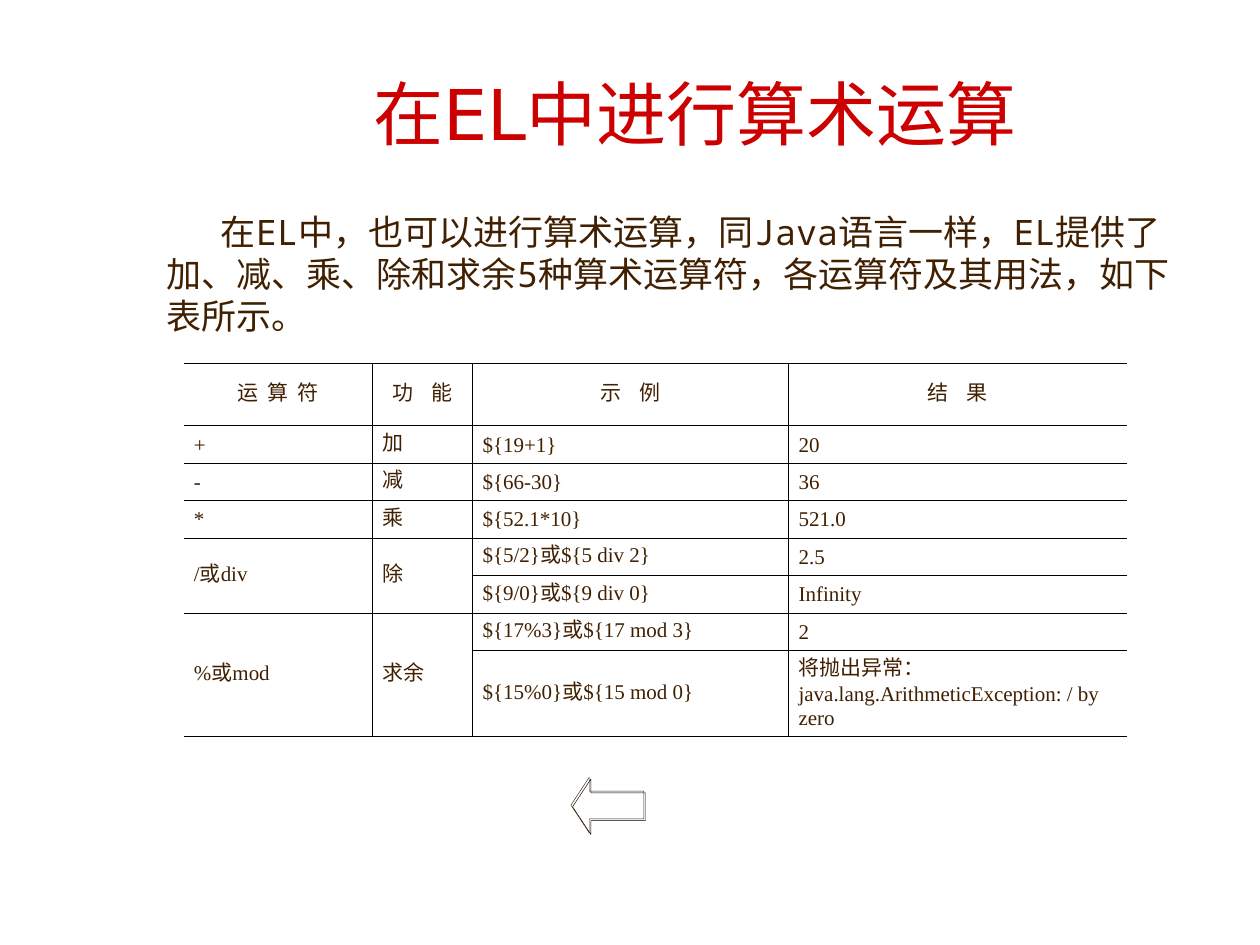
"""Build the slide on arithmetic operations in EL."""
from dataclasses import dataclass

from lxml import etree
from pptx import Presentation
from pptx import util as u
from pptx.dml.color import RGBColor
from pptx.enum import shapes, text
from pptx.oxml import parse_xml
from pptx.oxml.ns import nsdecls, qn


@dataclass(frozen=True)
class Theme:
    title_color: str = "CC0000"
    ink: str = "402000"
    rule: str = "000000"
    title_font: str = "DejaVu Sans"
    body_font: str = "Noto Sans Mono"
    head_font: str = "Arial"
    cell_font: str = "Times New Roman"
    title_size: int = 40
    body_size: int = 20
    cell_size: int = 12
    cell_leading: int = 14
    rule_width: float = 0.45
    outline_width: float = 0.25


class SlideBuilder:
    def __init__(self, slide, theme):
        self.s = slide
        self.theme = theme

    def format_runs(self, p, font, size, color):
        for r in p.runs:
            r.font.name = font
            r.font.size = u.Pt(size)
            r.font.color.rgb = RGBColor.from_string(color)

    def place(self, sp, box):
        sp.left, sp.top, sp.width, sp.height = map(u.Cm, box)

    def title(self, wording, box):
        t = self.theme
        sp = self.s.shapes.title
        self.place(sp, box)
        tf = sp.text_frame
        tf.text = wording
        tf.auto_size = text.MSO_AUTO_SIZE.NONE
        tf.vertical_anchor = text.MSO_ANCHOR.MIDDLE
        p = tf.paragraphs[0]
        p.alignment = text.PP_ALIGN.CENTER
        self.format_runs(p, t.title_font, t.title_size, t.title_color)

    def body(self, wording, box, indent):
        t = self.theme
        sp = self.s.placeholders[1]
        self.place(sp, box)
        tf = sp.text_frame
        tf.text = wording
        tf.auto_size = text.MSO_AUTO_SIZE.SHAPE_TO_FIT_TEXT
        p = tf.paragraphs[0]
        pPr = p._p.get_or_add_pPr()
        pPr.set("marL", "0")
        pPr.set("indent", str(u.Cm(indent)))
        etree.SubElement(pPr, qn("a:buNone"))
        p.space_before = u.Pt(0)
        self.format_runs(p, t.body_font, t.body_size, t.ink)

    def borders(self, cell, hidden_side):
        t = self.theme
        tcPr = cell._tc.get_or_add_tcPr()
        for side in "LRTB":
            if side == hidden_side:
                paint = "<a:noFill/>"
            else:
                paint = f'<a:solidFill><a:srgbClr val="{t.rule}"/></a:solidFill>'
            tcPr.append(parse_xml(
                f'<a:ln{side} {nsdecls("a")} w="{u.Pt(t.rule_width)}">{paint}</a:ln{side}>'))

    def cell(self, cell, wording, font, hidden_side):
        t = self.theme
        cell.text = wording
        self.borders(cell, hidden_side)
        cell.fill.background()
        cell.vertical_anchor = text.MSO_ANCHOR.MIDDLE
        cell.margin_left = cell.margin_right = u.Cm(0.2)
        cell.margin_top = cell.margin_bottom = u.Cm(0.13)
        p = cell.text_frame.paragraphs[0]
        p.line_spacing = u.Pt(t.cell_leading)
        self.format_runs(p, font, t.cell_size, t.ink)
        return p

    def table(self, header, rows, box, widths, heights, merges):
        t = self.theme
        tbl = self.s.shapes.add_table(len(heights), len(widths), *map(u.Cm, box)).table
        tbl.first_row = tbl.horz_banding = False
        for col, width in zip(tbl.columns, widths):
            col.width = u.Cm(width)
        for row, height in zip(tbl.rows, heights):
            row.height = u.Cm(height)
        hidden = {0: "L", len(widths) - 1: "R"}
        for c, (wording, tracking) in enumerate(header):
            p = self.cell(tbl.cell(0, c), wording, t.head_font, hidden.get(c))
            p.alignment = text.PP_ALIGN.CENTER
            if tracking:
                p.runs[0].font._element.set("spc", str(tracking))
        for i, row in enumerate(rows, start=1):
            for c, wording in enumerate(row):
                self.cell(tbl.cell(i, c), wording, t.cell_font, hidden.get(c))
        for i in merges:
            for c in (0, 1):
                tbl.cell(i, c).merge(tbl.cell(i + 1, c))

    def back_arrow(self, box):
        t = self.theme
        sp = self.s.shapes.add_shape(shapes.MSO_SHAPE.LEFT_ARROW, *map(u.Cm, box))
        sp.adjustments[0] = 0.5
        sp.adjustments[1] = 0.33
        sp.fill.background()
        sp.line.color.rgb = RGBColor.from_string(t.ink)
        sp.line.width = u.Pt(t.outline_width)
        sp._element.spPr.append(parse_xml(
            f'<a:effectLst {nsdecls("a")}>'
            f'<a:outerShdw dist="{u.Pt(1.4)}" dir="2700000" algn="ctr" rotWithShape="0">'
            f'<a:srgbClr val="{t.rule}"/></a:outerShdw></a:effectLst>'))


HEADER = [("运 算 符", 120), ("功 能", 380), ("示 例", 380), ("结 果", 380)]
ROWS = [
    ("+", "加", "${19+1}", "20"),
    ("-", "减", "${66-30}", "36"),
    ("*", "乘", "${52.1*10}", "521.0"),
    ("/或div", "除", "${5/2}或${5 div 2}", "2.5"),
    ("", "", "${9/0}或${9 div 0}", "Infinity"),
    ("%或mod", "求余", "${17%3}或${17 mod 3}", "2"),
    ("", "", "${15%0}或${15 mod 0}", "将抛出异常：java.lang.ArithmeticException: / by zero"),
]


def main():
    prs = Presentation()
    prs.slide_width, prs.slide_height = u.Cm(25.4), u.Cm(19.05)
    slide = SlideBuilder(prs.slides.add_slide(prs.slide_layouts[1]), Theme())
    slide.back_arrow((11.51, 15.67, 1.47, 1.12))
    slide.title("在EL中进行算术运算", (6.71, 1.42, 14.6, 1.7))
    slide.body(
        "在EL中，也可以进行算术运算，同Java语言一样，EL提供了加、减、乘、除和求余5种算术运算符，"
        "各运算符及其用法，如下表所示。",
        (3.1, 4.11, 21, 2.8), indent=1.1)
    slide.table(HEADER, ROWS, (3.71, 7.33, 19, 6.45),
                widths=(3.8, 2.02, 6.37, 6.81),
                heights=(1.25, *[0.61] * 6, 1.47), merges=(4, 6))
    prs.save("out.pptx")


if __name__ == "__main__":
    main()
